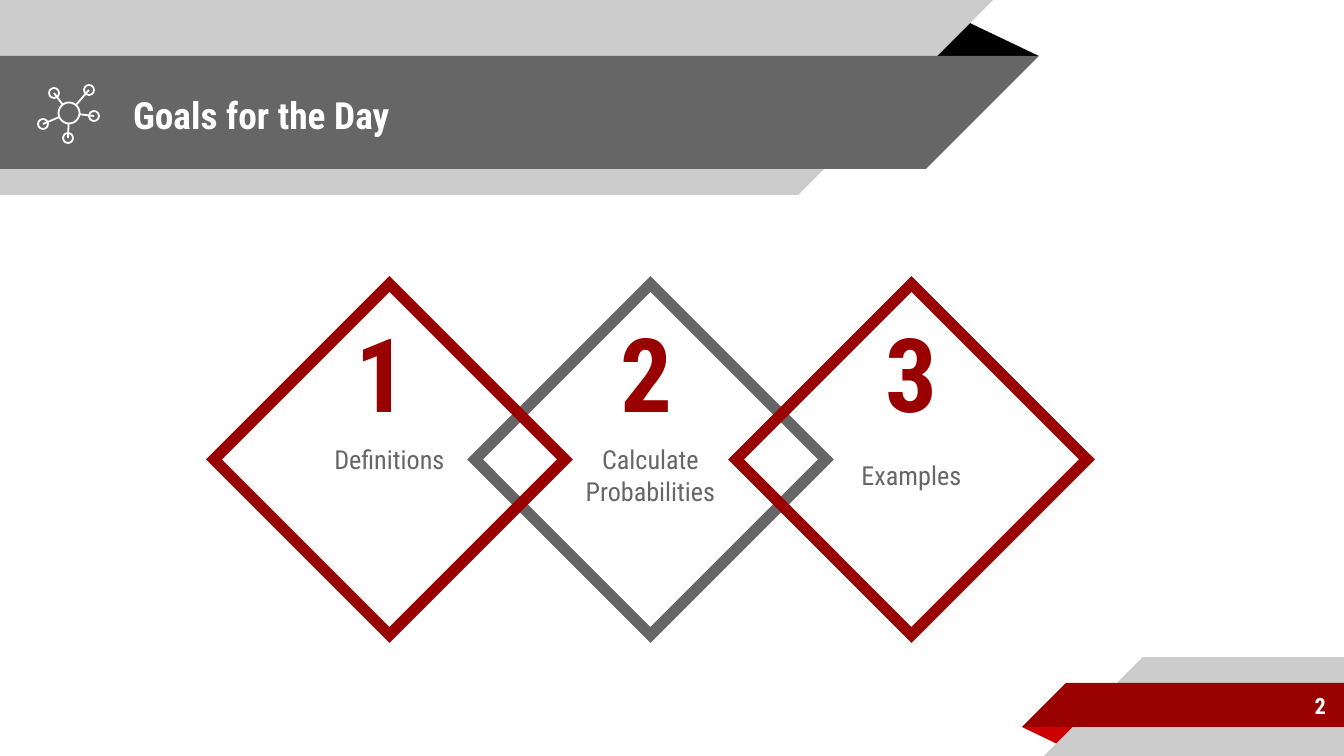
from math import hypot

from lxml.etree import SubElement
from pptx import Presentation
from pptx.dml.color import RGBColor
from pptx.enum.shapes import MSO_CONNECTOR, MSO_SHAPE as SHAPE
from pptx.enum.text import MSO_ANCHOR as ANCHOR, PP_ALIGN as ALIGN
from pptx.oxml.ns import qn
from pptx.util import Emu, Pt

PX = 914400 / 134.4
FONT = "Roboto Condensed"
WHITE = RGBColor(0xFF, 0xFF, 0xFF)
BLACK = RGBColor(0x00, 0x00, 0x00)
LIGHT_GRAY = RGBColor(0xCC, 0xCC, 0xCC)
DARK_GRAY = RGBColor(0x66, 0x66, 0x66)
DARK_RED = RGBColor(0x99, 0x00, 0x00)
RED = RGBColor(0xCC, 0x00, 0x00)

INSET = 13
LINE_HEIGHT = 31
ICON_LINE = 0.96


def px(length):
    return Emu(round(length * PX))


def add_shape(slide, kind, box, fill=None, line=None, line_width=1, rotation=0):
    shape = slide.shapes.add_shape(kind, *map(px, box))
    shape.shadow.inherit = False
    shape.rotation = rotation
    if fill is None:
        shape.fill.background()
    else:
        shape.fill.solid()
        shape.fill.fore_color.rgb = fill
    if line is None:
        shape.line.fill.background()
    else:
        shape.line.color.rgb = line
        shape.line.width = Pt(line_width)
    return shape


def write(shape, text, size, color, bold=False, align=ALIGN.LEFT,
          anchor=ANCHOR.MIDDLE, extra_top=0):
    frame = shape.text_frame
    layout = {
        "word_wrap": True,
        "vertical_anchor": anchor,
        "margin_left": px(INSET),
        "margin_right": px(INSET),
        "margin_top": px(INSET + extra_top),
        "margin_bottom": px(INSET),
    }
    for name, value in layout.items():
        setattr(frame, name, value)
    paragraph = frame.paragraphs[0]
    paragraph.alignment = align
    run = paragraph.add_run()
    run.text = text
    for name, value in {"name": FONT, "size": Pt(size), "bold": bold}.items():
        setattr(run.font, name, value)
    run.font.color.rgb = color


def add_text(slide, box, *args, **formats):
    write(slide.shapes.add_textbox(*map(px, box)), *args, **formats)


def add_top_band(slide, top, width, height, color):
    """Band from the left edge, its right end slanting in towards the bottom."""
    add_shape(slide, SHAPE.RECTANGLE, (0, top, width, height), color)
    add_shape(slide, SHAPE.RIGHT_TRIANGLE, (width, top, height, height), color,
              rotation=90)


def add_bottom_band(slide, left, top, height, color):
    """Band to the right edge, its left end slanting out towards the bottom."""
    add_shape(slide, SHAPE.RECTANGLE, (left, top, 1344 - left, height), color)
    add_shape(slide, SHAPE.RIGHT_TRIANGLE, (left - height, top, height, height),
              color, rotation=270)


def add_fold(slide, box, color, rotation=0):
    fold = add_shape(slide, SHAPE.ISOSCELES_TRIANGLE, box, color, rotation=rotation)
    fold.adjustments[0] = 0.32


def add_circle(slide, x, y, diameter):
    box = (x - diameter / 2, y - diameter / 2, diameter, diameter)
    add_shape(slide, SHAPE.OVAL, box, line=WHITE, line_width=ICON_LINE)


def add_spoke(slide, *ends):
    spoke = slide.shapes.add_connector(MSO_CONNECTOR.STRAIGHT, *map(px, ends))
    spoke.line.color.rgb = WHITE
    spoke.line.width = Pt(ICON_LINE)
    SubElement(spoke.element.spPr, qn("a:effectLst"))


def add_network_icon(slide):
    hub_x, hub_y, hub_size = 69, 113, 21
    nodes = [(89, 90), (54, 93), (43, 124), (68, 138), (94, 116)]
    for x, y in nodes:
        add_circle(slide, x, y, 10)
    add_circle(slide, hub_x, hub_y, hub_size)
    for x, y in nodes:
        share = hub_size / 2 / hypot(x - hub_x, y - hub_y)
        add_spoke(slide, x, y, hub_x + (x - hub_x) * share,
                  hub_y + (y - hub_y) * share)


def add_goal(slide, index, text, line, fill=None, extra_top=0):
    diamond = add_shape(slide, SHAPE.DIAMOND, (214 + 261 * index, 284, 351, 351),
                        fill, line, 6)
    SubElement(diamond.line._get_or_add_ln(), qn("a:miter"), lim="800000")
    write(diamond, text, 14, DARK_GRAY, align=ALIGN.CENTER, extra_top=extra_top)


def main():
    prs = Presentation()
    prs.slide_width, prs.slide_height = px(1344), px(756)
    slide = prs.slides.add_slide(prs.slide_layouts[6])

    add_fold(slide, (925, 19, 114, 37), BLACK)
    add_top_band(slide, 0, 798, 195, LIGHT_GRAY)
    add_top_band(slide, 56, 926, 113, DARK_GRAY)
    add_fold(slide, (1022, 727, 58, 19), RED, rotation=180)
    add_bottom_band(slide, 1143, 657, 99, LIGHT_GRAY)
    add_bottom_band(slide, 1066, 683, 44, DARK_RED)

    add_text(slide, (120, 58, 773, 113), "Goals for the Day", 20, WHITE, bold=True)
    add_text(slide, (1120, 682, 219, 47), "2", 12, WHITE, bold=True,
             align=ALIGN.RIGHT)

    # The middle diamond lies behind its neighbours.
    add_goal(slide, 1, "Calculate Probabilities", DARK_GRAY, WHITE, LINE_HEIGHT)
    add_goal(slide, 0, "Definitions", DARK_RED)
    add_goal(slide, 2, "Examples", DARK_RED, extra_top=LINE_HEIGHT)

    add_network_icon(slide)
    for index in range(3):
        add_text(slide, (343 + 265 * index, 298, 73, 148), str(index + 1), 55,
                 DARK_RED, bold=True, anchor=ANCHOR.BOTTOM)

    prs.save("out.pptx")


if __name__ == "__main__":
    main()
